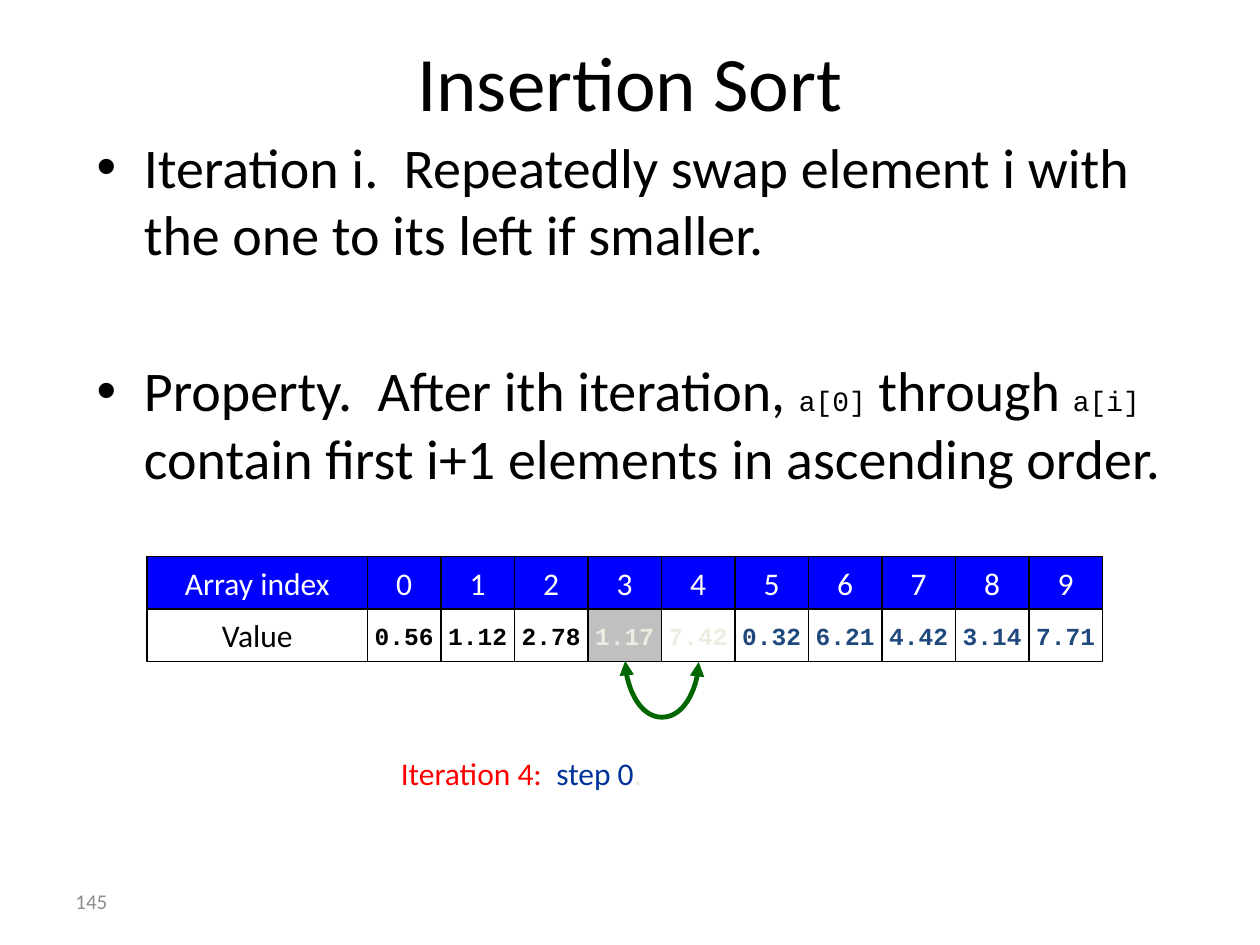
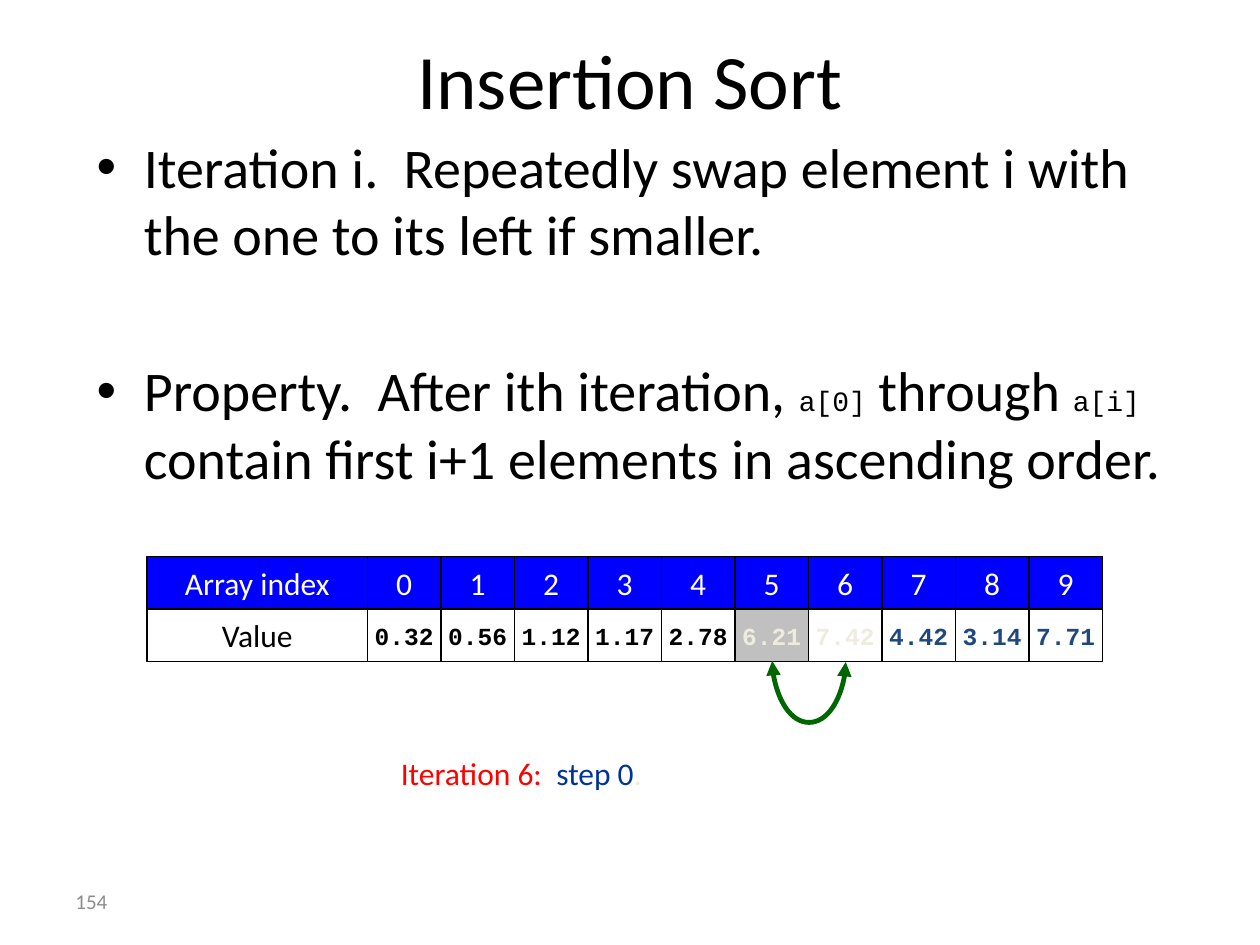
from dataclasses import dataclass
from typing import NamedTuple

from lxml.etree import SubElement
from pptx import Presentation
from pptx.dml.color import RGBColor
from pptx.enum.shapes import MSO_CONNECTOR as Link, MSO_SHAPE as Preset
from pptx.enum.text import MSO_ANCHOR as Anchor, MSO_AUTO_SIZE as AutoSize, PP_ALIGN as Align
from pptx.oxml.ns import qn
from pptx.util import Emu, Pt

PX = 7620  # EMU per px, 120 px to the inch


def px(length: int) -> Emu:
    return Emu(length * PX)


class Style(NamedTuple):
    size: int
    color: str
    font: str = "Calibri"
    bold: bool = False


class Span(NamedTuple):
    text: str
    style: Style


class Area(NamedTuple):
    left: int
    top: int
    width: int
    height: int

    def scaled(self) -> tuple[Emu, ...]:
        return tuple(px(length) for length in self)


@dataclass(frozen=True)
class Theme:
    # Fills and lines
    header_fill: str = "0000FF"
    cell_fill: str = "FFFFFF"
    moving_fill: str = "C0C0C0"
    border: str = "000000"
    border_width: float = 0.75
    swap: str = "006600"
    swap_width: float = 2.75
    # Text
    title: Style = Style(44, "000000")
    body: Style = Style(32, "000000")
    code: Style = Style(16, "000000", "Courier New")
    page: Style = Style(12, "8C8C8C")
    header: Style = Style(18, "FFFFFF")
    label: Style = Style(18, "000000")
    iteration: Style = Style(18, "FF0000")
    step: Style = Style(18, "003399")
    faint: Style = Style(18, "EEECE1")
    sorted_value: Style = Style(14, "000000", "Courier New", True)
    moving_value: Style = Style(14, "EEECE1", "Courier New", True)
    waiting_value: Style = Style(14, "1F497D", "Courier New", True)


THEME = Theme()

# Layout
BODY = Area(80, 120, 1060, 710)
CAPTION = Area(370, 712, 490, 48)
PAGE_NUMBER = Area(60, 834, 280, 48)
LABEL_LEFT, LABEL_WIDTH = 140, 210
CELLS_LEFT = LABEL_LEFT + LABEL_WIDTH
CELL_WIDTH, ROW_HEIGHT = 70, 50
INDEX_TOP = 530
VALUE_TOP = INDEX_TOP + ROW_HEIGHT
BULLET_GAP = 51

BULLETS = (
    (Span("Iteration i.  Repeatedly swap element i with the one to its left if smaller.", THEME.body),),
    (
        Span("Property.  After ith iteration, ", THEME.body),
        Span("a[0]", THEME.code),
        Span(" through ", THEME.body),
        Span("a[i]", THEME.code),
        Span(" contain first i+1 elements in ascending order.", THEME.body),
    ),
)


@dataclass(frozen=True)
class SortStep:
    iteration: int
    page: int
    title_top: int
    swap_drop: int
    values: tuple[str, ...]


STEPS = (
    SortStep(4, 145, 2, 54,
             ("0.56", "1.12", "2.78", "1.17", "7.42", "0.32", "6.21", "4.42", "3.14", "7.71")),
    SortStep(6, 154, 0, 59,
             ("0.32", "0.56", "1.12", "1.17", "2.78", "6.21", "7.42", "4.42", "3.14", "7.71")),
)


def add_spans(para, *spans: Span) -> None:
    for text, style in spans:
        run = para.add_run()
        run.text = text
        run.font.name = style.font
        run.font.size = Pt(style.size)
        run.font.bold = style.bold
        run.font.color.rgb = RGBColor.from_string(style.color)


def place(shape, area: Area) -> None:
    shape.left, shape.top, shape.width, shape.height = area.scaled()


def add_text(page, area: Area, *spans: Span, anchor: Anchor = Anchor.TOP) -> None:
    frame = page.shapes.add_textbox(*area.scaled()).text_frame
    frame.word_wrap = True
    frame.vertical_anchor = anchor
    add_spans(frame.paragraphs[0], *spans)


def add_cell(page, area: Area, fill: str, span: Span) -> None:
    box = page.shapes.add_shape(Preset.RECTANGLE, *area.scaled())
    box.shadow.inherit = False
    box.fill.solid()
    box.fill.fore_color.rgb = RGBColor.from_string(fill)
    box.line.color.rgb = RGBColor.from_string(THEME.border)
    box.line.width = Pt(THEME.border_width)
    frame = box.text_frame
    frame.word_wrap = False
    frame.vertical_anchor = Anchor.MIDDLE
    para = frame.paragraphs[0]
    para.alignment = Align.CENTER
    add_spans(para, span)


def add_swap_arrow(page, center: int, top: int, drop: int) -> None:
    """Hang a two-headed loop below the cells that meet at center."""
    start = top - CELL_WIDTH // 2
    arrow = page.shapes.add_connector(
        Link.CURVE, px(center + 1), px(start), px(center), px(start + CELL_WIDTH))
    arrow.line.color.rgb = RGBColor.from_string(THEME.swap)
    arrow.line.width = Pt(THEME.swap_width)
    # A quarter turn puts the one px wide connector on its side
    properties = arrow._element.spPr
    properties.find(qn("a:xfrm")).set("rot", "16200000")
    geometry = properties.find(qn("a:prstGeom"))
    guides = geometry.find(qn("a:avLst"))
    if guides is None:
        guides = SubElement(geometry, qn("a:avLst"))
    SubElement(guides, qn("a:gd"), name="adj1", fmla=f"val {drop * 100000}")
    line = properties.find(qn("a:ln"))
    for end in ("a:headEnd", "a:tailEnd"):
        SubElement(line, qn(end), type="triangle")
    SubElement(properties, qn("a:effectLst"))


def add_array(page, step: SortStep) -> None:
    for top, fill, span in (
        (INDEX_TOP, THEME.header_fill, Span("Array index", THEME.header)),
        (VALUE_TOP, THEME.cell_fill, Span("Value", THEME.label)),
    ):
        add_cell(page, Area(LABEL_LEFT, top, LABEL_WIDTH, ROW_HEIGHT), fill, span)

    moving = step.iteration - 1
    for index, value in enumerate(step.values):
        left = CELLS_LEFT + index * CELL_WIDTH
        if index < moving:
            style = THEME.sorted_value
        elif index <= step.iteration:
            style = THEME.moving_value
        else:
            style = THEME.waiting_value
        fill = THEME.moving_fill if index == moving else THEME.cell_fill
        add_cell(page, Area(left, INDEX_TOP, CELL_WIDTH, ROW_HEIGHT),
                 THEME.header_fill, Span(str(index), THEME.header))
        add_cell(page, Area(left, VALUE_TOP, CELL_WIDTH, ROW_HEIGHT), fill, Span(value, style))


def fill_title(page, top: int) -> None:
    title = page.shapes.title
    place(title, Area(60, top, 1080, 150))
    frame = title.text_frame
    frame.auto_size = AutoSize.NONE
    frame.vertical_anchor = Anchor.MIDDLE
    para = frame.paragraphs[0]
    para.alignment = Align.CENTER
    add_spans(para, Span("Insertion Sort", THEME.title))


def fill_body(page) -> None:
    body = page.placeholders[1]
    place(body, BODY)
    frame = body.text_frame
    frame.auto_size = AutoSize.NONE
    for number, spans in enumerate(BULLETS):
        para = frame.add_paragraph() if number else frame.paragraphs[0]
        para.space_before = Pt(BULLET_GAP if number else 0)
        add_spans(para, *spans)


def add_step_page(deck, step: SortStep) -> None:
    page = deck.slides.add_slide(deck.slide_layouts[1])
    # Title and bullets
    fill_title(page, step.title_top)
    fill_body(page)
    # Array with the pair being swapped
    add_array(page, step)
    add_swap_arrow(page, CELLS_LEFT + step.iteration * CELL_WIDTH,
                   VALUE_TOP + ROW_HEIGHT, step.swap_drop)
    # Caption and page number
    add_text(page, CAPTION, Span(f"Iteration {step.iteration}:  ", THEME.iteration),
             Span("step 0", THEME.step), Span(".", THEME.faint))
    add_text(page, PAGE_NUMBER, Span(str(step.page), THEME.page), anchor=Anchor.MIDDLE)


def main() -> None:
    deck = Presentation()
    deck.slide_width, deck.slide_height = px(1200), px(900)
    for step in STEPS:
        add_step_page(deck, step)
    deck.save("out.pptx")


if __name__ == "__main__":
    main()
